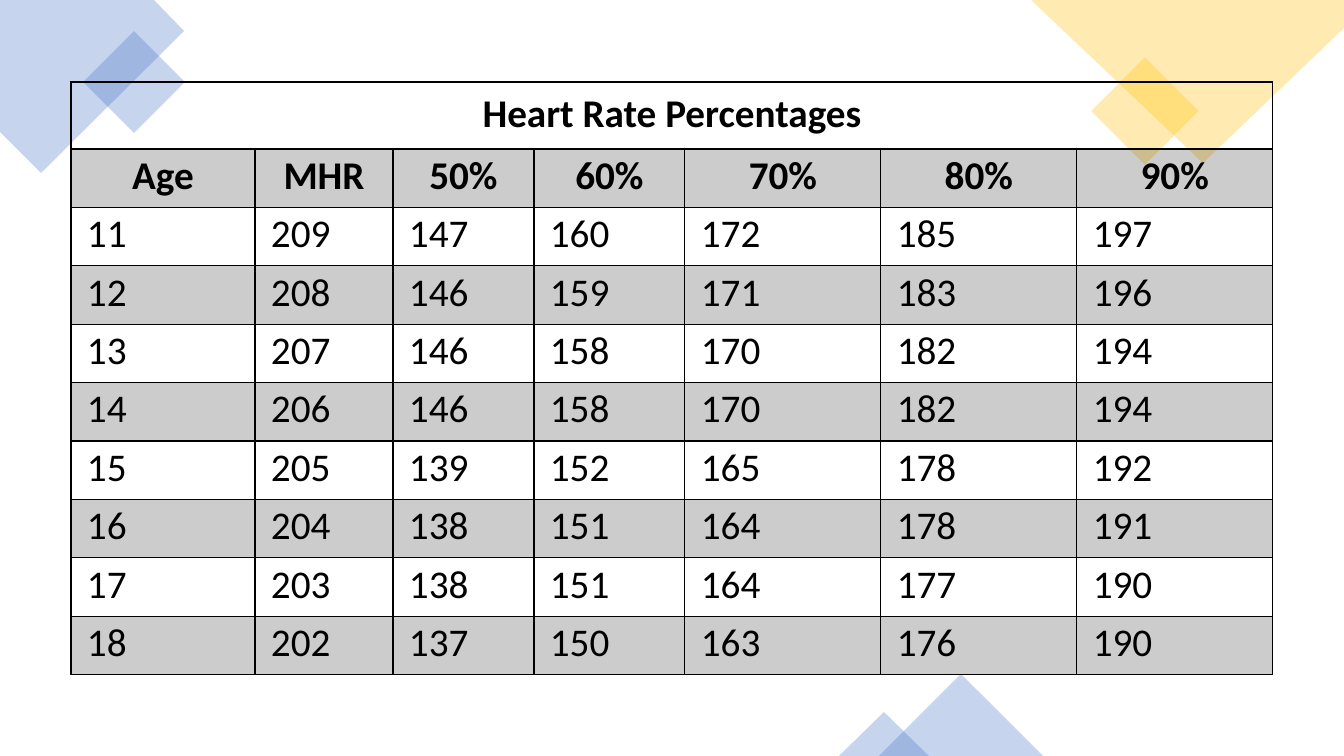
from dataclasses import dataclass

from lxml import etree
from pptx import Presentation, util as u
from pptx.dml import color
from pptx.dml.fill import FillFormat
from pptx.enum import shapes, text
from pptx.oxml import ns

EMU_PER_PX = 914400 / 100.8


@dataclass(frozen=True)
class Theme:
    blue: str = "4472C4"
    gold: str = "FFC000"
    ink: str = "000000"
    accent_opacity: int = 30
    band_opacity: int = 20
    font: str = "Calibri"
    text_size: int = 28
    border: int = 1
    title_rule: int = 2


@dataclass(frozen=True)
class Preset:
    kind: shapes.MSO_SHAPE
    left: int
    top: int
    width: int
    height: int
    fill: str
    rotation: int = 0


@dataclass(frozen=True)
class Outline:
    points: tuple[tuple[int, int], ...]
    fill: str


THEME = Theme()
DECORATIONS = (
    Outline(((0, 0), (154, 0), (184, 31), (41, 173), (0, 132)), THEME.blue),
    Preset(shapes.MSO_SHAPE.RECTANGLE, 98, 46, 72, 72, THEME.blue, 315),
    Preset(shapes.MSO_SHAPE.RECTANGLE, 1107, 73, 76, 76, THEME.gold, 315),
    Outline(((1031, 0), (1344, 0), (1344, 28), (1203, 163)), THEME.gold),
    Preset(shapes.MSO_SHAPE.ISOSCELES_TRIANGLE, 879, 674, 164, 82, THEME.blue),
    Preset(shapes.MSO_SHAPE.ISOSCELES_TRIANGLE, 839, 712, 90, 44, THEME.blue),
)

TABLE_LEFT, TABLE_TOP, TABLE_HEIGHT = 71, 82, 593
COLUMN_WIDTHS = (184, 138, 141, 151, 196, 196, 196)
TITLE_HEIGHT = 67
SIDE_INSET, TITLE_INSET, ROW_INSET = 16, 8, 3
TITLE = "Heart Rate Percentages"
ROWS = (
    ("Age", "MHR", "50%", "60%", "70%", "80%", "90%"),
    (11, 209, 147, 160, 172, 185, 197),
    (12, 208, 146, 159, 171, 183, 196),
    (13, 207, 146, 158, 170, 182, 194),
    (14, 206, 146, 158, 170, 182, 194),
    (15, 205, 139, 152, 165, 178, 192),
    (16, 204, 138, 151, 164, 178, 191),
    (17, 203, 138, 151, 164, 177, 190),
    (18, 202, 137, 150, 163, 176, 190),
)


def px(length: float) -> u.Emu:
    return u.Emu(round(length * EMU_PER_PX))


def fill_translucent(fill: FillFormat, parent, rgb: str, opacity: int) -> None:
    fill.solid()
    fill.fore_color.rgb = color.RGBColor.from_string(rgb)
    solid = parent.find(ns.qn("a:solidFill"))
    etree.SubElement(solid[0], ns.qn("a:alpha"), val=str(opacity * 1000))


def draw_decoration(slide, item: Preset | Outline) -> None:
    if isinstance(item, Outline):
        builder = slide.shapes.build_freeform(*item.points[0], scale=EMU_PER_PX)
        builder.add_line_segments(item.points[1:], close=True)
        shape = builder.convert_to_shape()
    else:
        shape = slide.shapes.add_shape(
            item.kind, px(item.left), px(item.top), px(item.width), px(item.height)
        )
        shape.rotation = item.rotation
    shape.shadow.inherit = False
    shape.line.fill.background()
    fill_translucent(shape.fill, shape.element.spPr, item.fill, THEME.accent_opacity)


def set_borders(cell, row: int) -> None:
    properties = cell._tc.get_or_add_tcPr()
    for index, side in enumerate("LRTB"):
        under_title = (row, side) in ((0, "B"), (1, "T"))
        width = THEME.title_rule if under_title else THEME.border
        line = etree.Element(ns.qn(f"a:ln{side}"), w=str(u.Pt(width)))
        solid = etree.SubElement(line, ns.qn("a:solidFill"))
        etree.SubElement(solid, ns.qn("a:srgbClr"), val=THEME.ink)
        properties.insert(index, line)


def format_cell(cell, row: int) -> None:
    cell.margin_left = cell.margin_right = px(SIDE_INSET)
    cell.margin_top = cell.margin_bottom = px(ROW_INSET if row else TITLE_INSET)
    if row % 2:
        properties = cell._tc.get_or_add_tcPr()
        fill_translucent(cell.fill, properties, THEME.ink, THEME.band_opacity)
    else:
        cell.fill.background()
    set_borders(cell, row)
    heading = row < 2
    paragraph = cell.text_frame.paragraphs[0]
    paragraph.alignment = text.PP_ALIGN.CENTER if heading else text.PP_ALIGN.LEFT
    for run in paragraph.runs:
        run.font.name = THEME.font
        run.font.size = u.Pt(THEME.text_size)
        run.font.bold = heading
        run.font.color.rgb = color.RGBColor.from_string(THEME.ink)


def draw_heart_rate_table(slide) -> None:
    frame = slide.shapes.add_table(
        len(ROWS) + 1, len(COLUMN_WIDTHS),
        px(TABLE_LEFT), px(TABLE_TOP), px(sum(COLUMN_WIDTHS)), px(TABLE_HEIGHT),
    )
    table = frame.table
    table.first_row = table.horz_banding = False
    for column, width in zip(table.columns, COLUMN_WIDTHS):
        column.width = px(width)
    row_height = (TABLE_HEIGHT - TITLE_HEIGHT) / len(ROWS)
    for index, row in enumerate(table.rows):
        row.height = px(row_height if index else TITLE_HEIGHT)
    table.cell(0, 0).merge(table.cell(0, len(COLUMN_WIDTHS) - 1))
    table.cell(0, 0).text_frame.text = TITLE
    for index, row in enumerate(table.rows):
        for position, cell in enumerate(row.cells):
            if index:
                cell.text_frame.text = str(ROWS[index - 1][position])
            format_cell(cell, index)


def main() -> None:
    presentation = Presentation()
    presentation.slide_width = px(1344)
    presentation.slide_height = px(756)
    slide = presentation.slides.add_slide(presentation.slide_layouts[6])
    for item in DECORATIONS:
        draw_decoration(slide, item)
    draw_heart_rate_table(slide)
    presentation.save("out.pptx")


if __name__ == "__main__":
    main()
